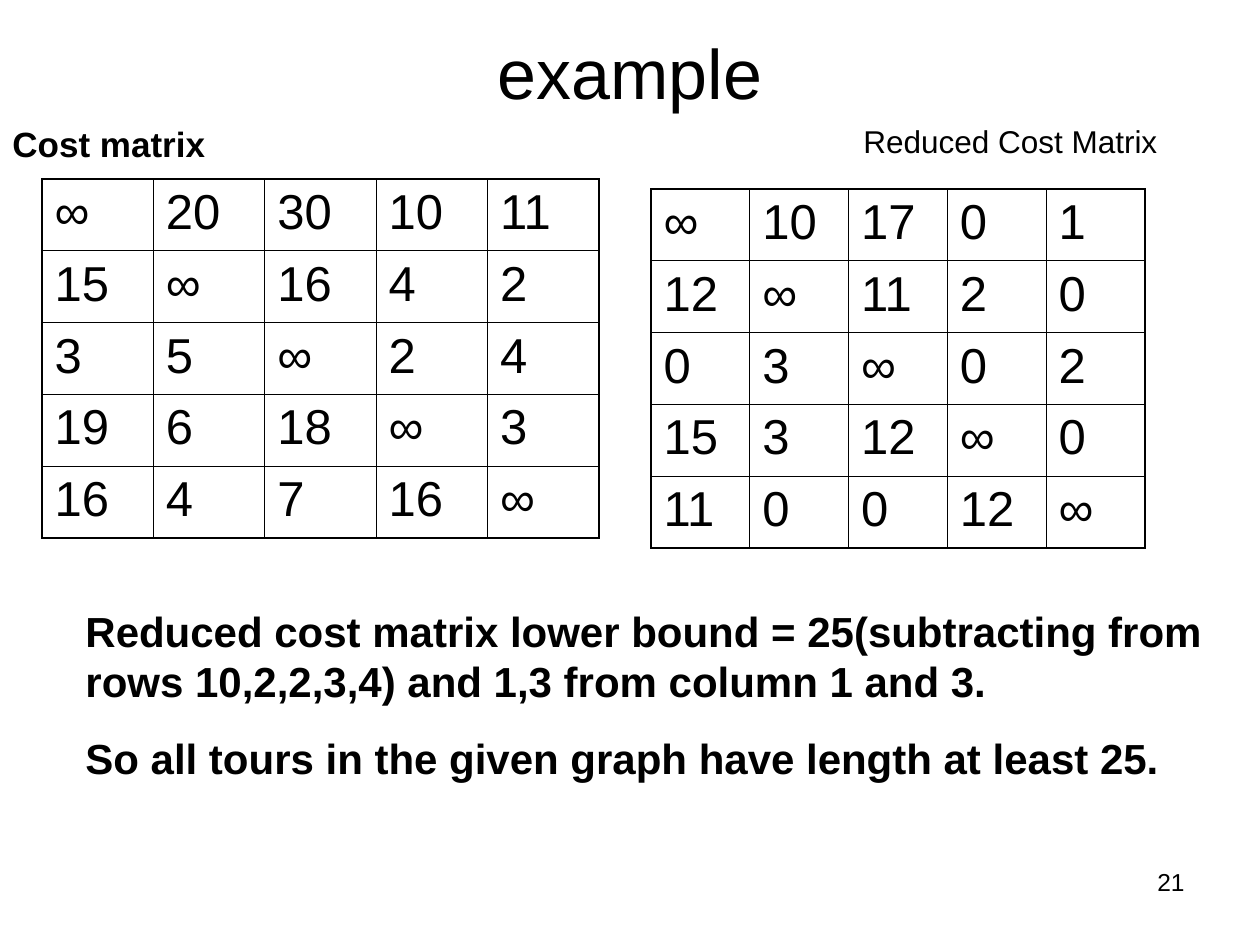
from lxml.etree import SubElement
from pptx import Presentation
from pptx.dml.color import RGBColor
from pptx.enum.text import MSO_ANCHOR, PP_ALIGN
from pptx.oxml.ns import qn
from pptx.util import Emu, Pt

PX_PER_INCH = 126
FONT = "Arial"
BLACK = RGBColor(0x00, 0x00, 0x00)
THIN, THICK = Pt(0.45), Pt(1.08)

COST = [
    "∞ 20 30 10 11",
    "15 ∞ 16 4 2",
    "3 5 ∞ 2 4",
    "19 6 18 ∞ 3",
    "16 4 7 16 ∞",
]
REDUCED = [
    "∞ 10 17 0 1",
    "12 ∞ 11 2 0",
    "0 3 ∞ 0 2",
    "15 3 12 ∞ 0",
    "11 0 0 12 ∞",
]
CONCLUSIONS = [
    "Reduced cost matrix lower bound = 25(subtracting from rows 10,2,2,3,4) "
    "and 1,3 from column 1 and 3.",
    "So all tours in the given graph have length at least 25.",
]


def px(*lengths):
    return [Emu(round(length * 914400 / PX_PER_INCH)) for length in lengths]


def write(frame, lines, size, bold=False, align=PP_ALIGN.LEFT, gap=0):
    """Fill a text frame with one paragraph per line, gap points apart."""
    frame.word_wrap = True
    for index, line in enumerate(lines):
        para = frame.add_paragraph() if index else frame.paragraphs[0]
        para.alignment = align
        para.space_before = Pt(gap if index else 0)
        span = para.add_run()
        span.text = line
        for name, value in {"name": FONT, "size": Pt(size), "bold": bold}.items():
            setattr(span.font, name, value)
        span.font.color.rgb = BLACK


def add_title(page, text, place):
    title = page.shapes.title
    title.left, title.top, title.width, title.height = px(*place)
    title.text_frame.vertical_anchor = MSO_ANCHOR.MIDDLE
    write(title.text_frame, [text], 40, align=PP_ALIGN.CENTER)


def add_text(page, lines, place, size, **options):
    box = page.shapes.add_textbox(*px(*place))
    write(box.text_frame, lines, size, **options)


def set_borders(cell, widths):
    """Draw solid black borders, given widths by side (L, R, T, B)."""
    properties = cell._tc.get_or_add_tcPr()
    for side, width in widths.items():
        line = SubElement(properties, qn(f"a:ln{side}"), w=str(int(width)))
        fill = SubElement(line, qn("a:solidFill"))
        SubElement(fill, qn("a:srgbClr"), val=str(BLACK))


def add_matrix(page, rows, place):
    values = [row.split() for row in rows]
    last_row, last_column = len(values) - 1, len(values[0]) - 1
    table = page.shapes.add_table(last_row + 1, last_column + 1, *px(*place)).table
    table.first_row = table.horz_banding = False
    for r, row in enumerate(values):
        for c, value in enumerate(row):
            cell = table.cell(r, c)
            write(cell.text_frame, [value], 28)
            edges = {"L": c == 0, "R": c == last_column,
                     "T": r == 0, "B": r == last_row}
            set_borders(cell, {side: THICK if outer else THIN
                               for side, outer in edges.items()})
            cell.fill.background()


def main():
    deck = Presentation()
    deck.slide_width, deck.slide_height = px(1260, 945)
    page = deck.slides.add_slide(deck.slide_layouts[5])
    add_title(page, "example", (63, 38, 1134, 67))
    add_matrix(page, COST, (42, 179, 557, 359))
    add_matrix(page, REDUCED, (651, 189, 494, 359))
    add_text(page, CONCLUSIONS, (73, 599, 1155, 190), 24, bold=True, gap=15)
    add_text(page, ["Cost matrix"], (0, 116, 514, 55), 20, bold=True)
    add_text(page, ["Reduced Cost Matrix"], (851, 116, 378, 50), 18)
    add_text(page, ["21"], (903, 861, 294, 66), 14, align=PP_ALIGN.RIGHT)
    deck.save("out.pptx")


if __name__ == "__main__":
    main()
